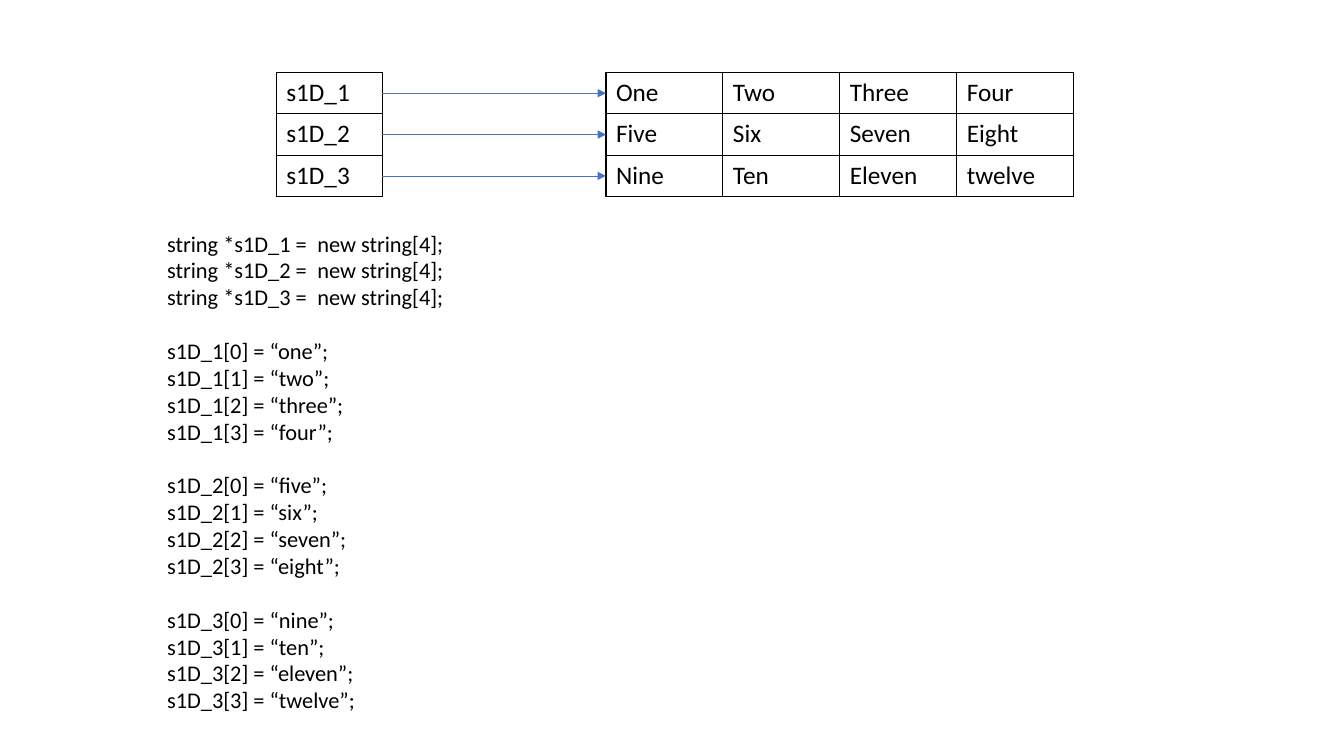
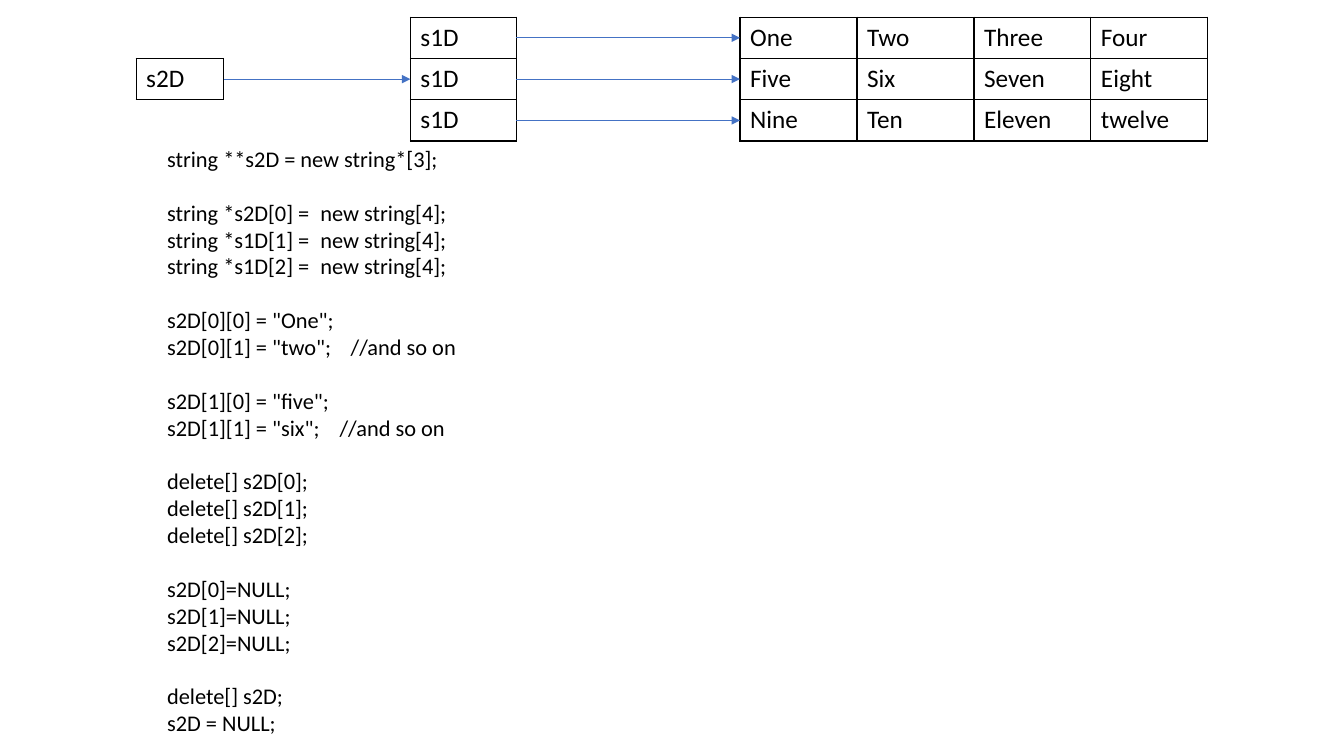
from lxml import etree
from pptx import Presentation
from pptx import util as u
from pptx.dml.color import RGBColor
from pptx.enum import shapes, text
from pptx.oxml.ns import qn

COLORS = {"ink": "000000", "arrow": "4472C4"}
FONT = "Calibri"
ROW_HEIGHT = 0.41
LABEL_WIDTH = 1.05
WORD_WIDTH = 1.16
WORDS_OFFSET = 3.27
CODE_LEFT = 1.56
CODE_WIDTH = 10
LINE_PITCH = 19.2

WORDS = [
    ["One", "Two", "Three", "Four"],
    ["Five", "Six", "Seven", "Eight"],
    ["Nine", "Ten", "Eleven", "twelve"],
]


def write(para, words, size=16, color="ink", before=0, tab=None):
    para.space_before = u.Pt(before)
    if tab:
        stops = etree.SubElement(para._p.get_or_add_pPr(), qn("a:tabLst"))
        etree.SubElement(stops, qn("a:tab"), pos=str(u.Inches(tab)), algn="l")
    span = para.add_run()
    span.text = words
    span.font.name = FONT
    span.font.size = u.Pt(size)
    span.font.color.rgb = RGBColor.from_string(COLORS[color])


def add_borders(cell_format):
    for side in ("L", "R", "T", "B"):
        border = etree.SubElement(cell_format, qn(f"a:ln{side}"), w=str(u.Pt(1)))
        fill = etree.SubElement(border, qn("a:solidFill"))
        etree.SubElement(fill, qn("a:srgbClr"), val=COLORS["ink"])


def add_grid(page, left, top, column_width, rows):
    columns = len(rows[0])
    frame = page.shapes.add_table(
        len(rows), columns, u.Inches(left), u.Inches(top),
        u.Inches(column_width * columns), u.Inches(ROW_HEIGHT * len(rows)),
    )
    table = frame.table
    table.first_row = False
    table.horz_banding = False
    for column in table.columns:
        column.width = u.Inches(column_width)
    for row, words in zip(table.rows, rows):
        row.height = u.Inches(ROW_HEIGHT)
        for cell, word in zip(row.cells, words):
            cell.vertical_anchor = text.MSO_ANCHOR.TOP
            write(cell.text_frame.paragraphs[0], word, size=18)
    for cell_format in frame.element.iter(qn("a:tcPr")):
        add_borders(cell_format)
    for cell in table.iter_cells():
        cell.fill.background()


def add_arrow(page, start, end, y):
    arrow = page.shapes.add_connector(
        shapes.MSO_CONNECTOR.STRAIGHT,
        u.Inches(start), u.Inches(y), u.Inches(end), u.Inches(y),
    )
    arrow.line.color.rgb = RGBColor.from_string(COLORS["arrow"])
    arrow.line.width = u.Pt(0.5)
    properties = arrow.element.spPr
    etree.SubElement(properties.find(qn("a:ln")), qn("a:tailEnd"), type="triangle")
    etree.SubElement(properties, qn("a:effectLst"))


def add_pointer_diagram(page, left, top, labels):
    words_left = left + WORDS_OFFSET
    add_grid(page, words_left, top, WORD_WIDTH, WORDS)
    add_grid(page, left, top, LABEL_WIDTH, [[label] for label in labels])
    for index in range(len(labels)):
        add_arrow(page, left + LABEL_WIDTH, words_left, top + (index + 0.5) * ROW_HEIGHT)


def add_root_pointer(page, left, top, width, target, label):
    add_grid(page, left, top, width, [[label]])
    add_arrow(page, left + width, target, top + ROW_HEIGHT / 2)


def add_code(page, top, height, groups):
    box = page.shapes.add_textbox(
        u.Inches(CODE_LEFT), u.Inches(top), u.Inches(CODE_WIDTH), u.Inches(height)
    )
    frame = box.text_frame
    frame.word_wrap = True
    frame.auto_size = text.MSO_AUTO_SIZE.SHAPE_TO_FIT_TEXT
    para = frame.paragraphs[0]
    for group_index, (tab, lines) in enumerate(groups):
        for line_index, line in enumerate(lines):
            if group_index or line_index:
                para = frame.add_paragraph()
            starts_group = group_index > 0 and line_index == 0
            write(para, line, before=LINE_PITCH if starts_group else 0,
                  tab=tab if "\t" in line else None)


def build_separate_arrays(page):
    names = ["s1D_1", "s1D_2", "s1D_3"]
    add_pointer_diagram(page, 2.74, 0.72, names)
    groups = [(1.49, [f"string *{name} =\tnew string[4];" for name in names])]
    for name, words in zip(names, WORDS):
        groups.append((None, [
            f"{name}[{index}] = “{word.lower()}”;" for index, word in enumerate(words)
        ]))
    add_code(page, 2.23, 4.95, groups)


def build_pointer_array(page):
    left, top = 4.07, 0.17
    add_pointer_diagram(page, left, top, ["s1D"] * 3)
    add_root_pointer(page, 1.35, top + ROW_HEIGHT, 0.87, left, "s2D")
    add_code(page, 1.39, 6.02, [
        (None, ["string **s2D = new string*[3];"]),
        (1.52, [
            "string *s2D[0] =\tnew string[4];",
            "string *s1D[1] =\tnew string[4];",
            "string *s1D[2] =\tnew string[4];",
        ]),
        (1.82, ['s2D[0][0] = "One";', 's2D[0][1] = "two";\t//and so on']),
        (1.71, ['s2D[1][0] = "five";', 's2D[1][1] = "six";\t//and so on']),
        (None, [f"delete[] s2D[{index}];" for index in range(3)]),
        (None, [f"s2D[{index}]=NULL;" for index in range(3)]),
        (None, ["delete[] s2D;", "s2D = NULL;"]),
    ])


def main():
    deck = Presentation()
    deck.slide_width = u.Inches(13.33)
    deck.slide_height = u.Inches(7.5)
    for build in (build_separate_arrays, build_pointer_array):
        build(deck.slides.add_slide(deck.slide_layouts[6]))
    deck.save("out.pptx")


if __name__ == "__main__":
    main()
